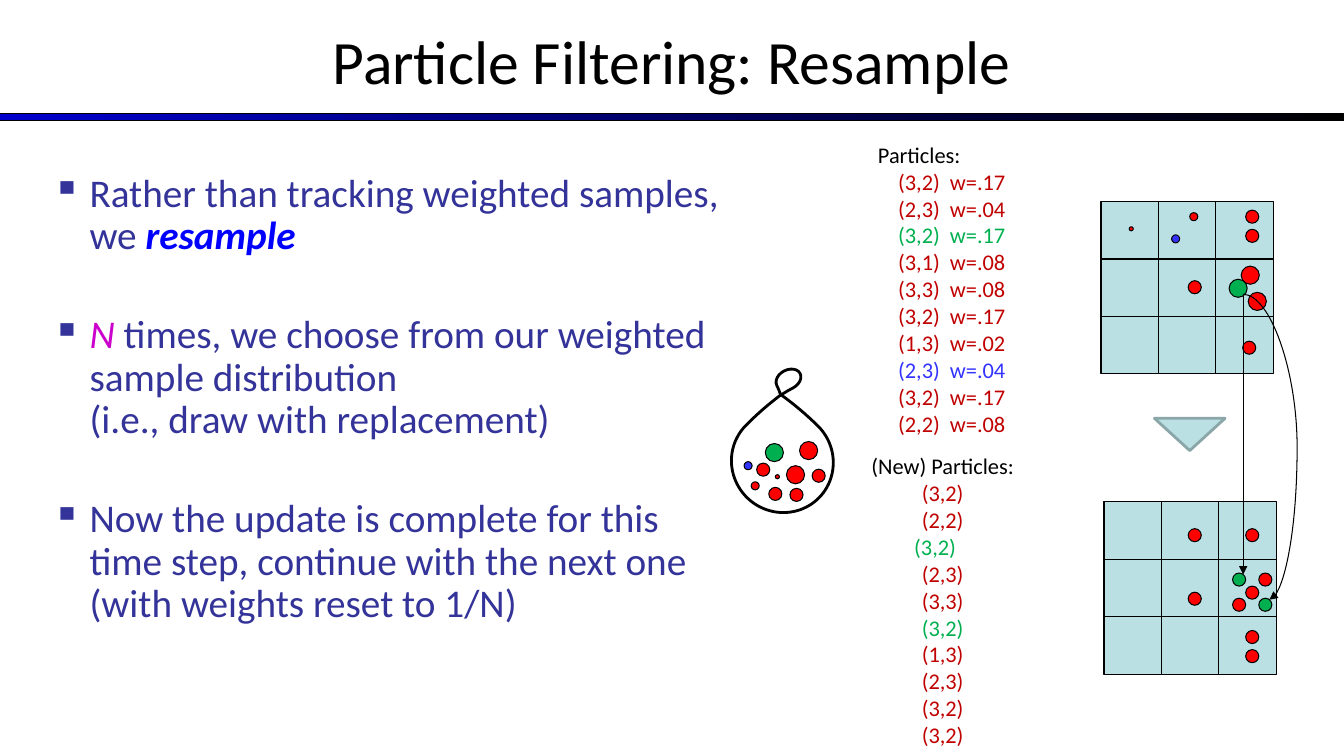
from lxml import etree
from pptx import Presentation
from pptx import util as u
from pptx.dml.color import RGBColor
from pptx.enum import shapes, text
from pptx.oxml import ns

BLACK, RED, GREEN, BLUE = "000000", "FF0000", "00B050", "3333FF"
DARK_RED, INDIGO, PALE = "C00000", "333399", "BBE0E3"
CELL = 0.57
LARGE, MEDIUM, SMALL, TINY = 0.18, 0.13, 0.08, 0.04

WEIGHTED_DOTS = [
    (12.28, 2.86, LARGE, GREEN), (12.47, 2.99, LARGE, RED), (12.42, 2.15, MEDIUM, RED),
    (11.85, 2.85, MEDIUM, RED), (12.39, 3.45, MEDIUM, RED), (12.42, 2.34, MEDIUM, RED),
    (11.66, 2.37, SMALL, BLUE), (11.84, 2.15, SMALL, RED), (11.22, 2.27, TINY, RED),
    (12.4, 2.73, LARGE, RED),
]
RESAMPLED_DOTS = [
    (12.29, 6, MEDIUM, RED), (12.55, 5.75, MEDIUM, RED), (12.42, 5.88, MEDIUM, RED),
    (11.85, 5.94, MEDIUM, RED), (12.42, 5.31, MEDIUM, RED), (12.29, 5.75, MEDIUM, GREEN),
    (12.42, 6.32, MEDIUM, RED), (12.55, 6, MEDIUM, GREEN), (12.42, 6.51, MEDIUM, RED),
    (11.85, 5.31, MEDIUM, RED),
]
BAG_DOTS = [
    (7.89, 4.71, LARGE, RED), (7.9, 4.91, MEDIUM, RED), (7.69, 4.9, MEDIUM, RED),
    (7.57, 4.66, MEDIUM, RED), (8.12, 4.72, MEDIUM, RED), (7.42, 4.62, SMALL, BLUE),
    (7.49, 4.82, SMALL, RED), (7.71, 4.73, TINY, RED), (7.68, 4.49, LARGE, GREEN),
    (8.02, 4.47, LARGE, RED),
]
WEIGHTED = [
    ("(3,2)  w=.17", DARK_RED), ("(2,3)  w=.04", DARK_RED), ("(3,2)  w=.17", GREEN),
    ("(3,1)  w=.08", DARK_RED), ("(3,3)  w=.08", DARK_RED), ("(3,2)  w=.17", DARK_RED),
    ("(1,3)  w=.02", DARK_RED), ("(2,3)  w=.04", BLUE), ("(3,2)  w=.17", DARK_RED),
    ("(2,2)  w=.08", DARK_RED),
]
RESAMPLED = [
    ("(3,2)", DARK_RED, 0), ("(2,2)", DARK_RED, 0), ("(3,2)", GREEN, 0.15),
    ("(2,3)", DARK_RED, 0), ("(3,3)", DARK_RED, 0), ("(3,2)", GREEN, 0),
    ("(1,3)", DARK_RED, 0), ("(2,3)", DARK_RED, 0), ("(3,2)", DARK_RED, 0),
    ("(3,2)", DARK_RED, 0),
]


def color(value):
    return RGBColor.from_string(value)


def add_span(para, words, size=16, fill=BLACK, bold=False, italic=False):
    span = para.add_run()
    span.text = words.replace("\v", " ")
    span.font.name = "Calibri"
    span.font.size = u.Pt(size)
    span.font.bold = bold
    span.font.italic = italic
    span.font.color.rgb = color(fill)
    return span


class Page:
    def __init__(self, page, line=BLACK, thin=0.75):
        self.page = page
        self.line = line
        self.thin = thin

    def shape(self, kind, left, top, width, height, fill=None, line=None, weight=None, turn=0):
        shape = self.page.shapes.add_shape(
            kind, u.Inches(left), u.Inches(top), u.Inches(width), u.Inches(height))
        shape.shadow.inherit = False
        shape.rotation = turn
        if fill:
            shape.fill.solid()
            shape.fill.fore_color.rgb = color(fill)
        else:
            shape.fill.background()
        shape.line.color.rgb = color(line or self.line)
        shape.line.width = u.Pt(weight or self.thin)
        return shape

    def rule(self):
        bar = self.shape(shapes.MSO_SHAPE.RECTANGLE, 0, 1.13, 13.33, 0.07)
        bar.fill.gradient()
        bar.fill.gradient_angle = 0
        for stop, value in zip(bar.fill.gradient_stops, ("0000CC", BLACK)):
            stop.color.rgb = color(value)

    def grid(self, left, top):
        for row in range(3):
            for column in range(3):
                self.shape(shapes.MSO_SHAPE.RECTANGLE, left + column * CELL,
                           top + row * CELL, CELL, CELL, PALE)

    def dots(self, dots):
        for x, y, size, fill in dots:
            self.shape(shapes.MSO_SHAPE.OVAL, x - size / 2, y - size / 2, size, size, fill)

    def drop(self, left, top, width, height, turn, point):
        drop = self.shape(shapes.MSO_SHAPE.TEAR, left, top, width, height, weight=2, turn=turn)
        drop.adjustments[0] = point

    def arrow(self, kind, start, end, bend=None):
        arrow = self.page.shapes.add_connector(kind, *map(u.Inches, (*start, *end)))
        arrow.line.color.rgb = color(self.line)
        arrow.line.width = u.Pt(self.thin)
        properties = arrow._element.spPr
        outline = properties.find(ns.qn("a:ln"))
        etree.SubElement(outline, ns.qn("a:tailEnd"), type="triangle")
        etree.SubElement(properties, ns.qn("a:effectLst"))
        if bend:
            guides = properties.find(ns.qn("a:prstGeom")).find(ns.qn("a:avLst"))
            etree.SubElement(guides, ns.qn("a:gd"), name="adj1", fmla=f"val {bend}")

    def box(self, left, top, width, height, anchor=text.MSO_ANCHOR.TOP):
        box = self.page.shapes.add_textbox(
            u.Inches(left), u.Inches(top), u.Inches(width), u.Inches(height))
        box.text_frame.word_wrap = True
        box.text_frame.vertical_anchor = anchor
        return box.text_frame

    def title(self, words):
        para = self.box(0, -0.03, 13.33, 1.25, text.MSO_ANCHOR.MIDDLE).paragraphs[0]
        para.alignment = text.PP_ALIGN.CENTER
        add_span(para, words, size=44)

    def bullets(self, items):
        frame = self.box(0.42, 1.67, 6.98, 5.12)
        for index, item in enumerate(items):
            para = frame.add_paragraph() if index else frame.paragraphs[0]
            para.line_spacing = 0.9
            para.space_before = u.Pt(40.7 if index else 0)
            layout = para._p.get_or_add_pPr()
            layout.set("marL", str(u.Inches(0.37)))
            layout.set("indent", str(u.Inches(-0.37)))
            tint = etree.SubElement(layout, ns.qn("a:buClr"))
            etree.SubElement(tint, ns.qn("a:srgbClr"), val=INDIGO)
            etree.SubElement(layout, ns.qn("a:buChar"), char="▪")
            for number, line in enumerate(item):
                if number:
                    para.add_line_break()
                for words, style in line:
                    add_span(para, words, **{"size": 28, "fill": INDIGO, **style})

    def particles(self, heading, rows, left, top, align, indent=0):
        frame = self.box(left, top, 1.8, 3.06)
        para = frame.paragraphs[0]
        para.alignment = align
        add_span(para, heading)
        for words, fill, *shift in rows:
            para = frame.add_paragraph()
            para.alignment = align
            layout = para._p.get_or_add_pPr()
            layout.set("marL", str(u.Inches(indent)))
            layout.set("marR", str(u.Inches(sum(shift))))
            add_span(para, words, fill=fill)


def main():
    deck = Presentation()
    deck.slide_width, deck.slide_height = u.Inches(13.33), u.Inches(7.5)
    page = Page(deck.slides.add_slide(deck.slide_layouts[6]))
    page.rule()
    page.grid(10.92, 2)
    page.dots(WEIGHTED_DOTS)
    page.title("Particle Filtering: Resample")
    page.bullets([
        [[("Rather than tracking weighted samples, we ", {}),
          ("resample", {"fill": "0000FF", "bold": True, "italic": True})]],
        [[("N", {"fill": "CC00CD", "italic": True}),
          (" times, we choose from our weighted sample distribution", {})],
         [("(i.e., draw with replacement)", {})]],
        [[("Now the update is complete for this time step, continue with the next one "
           "(with weights reset to 1/N)", {})]],
    ])
    page.shape(shapes.MSO_SHAPE.ISOSCELES_TRIANGLE, 11.45, 4.15, 0.7, 0.32,
               PALE, "8AA6A8", 2, 180)
    page.grid(10.95, 4.98)
    page.dots(RESAMPLED_DOTS)
    page.particles("Particles:", WEIGHTED, 8.61, 1.35, text.PP_ALIGN.LEFT, 0.2)
    page.particles("(New) Particles:", RESAMPLED, 8.45, 4.44, text.PP_ALIGN.CENTER)
    page.arrow(shapes.MSO_CONNECTOR.STRAIGHT, (12.33, 2.92), (12.33, 5.7))
    page.arrow(shapes.MSO_CONNECTOR.CURVE, (12.33, 2.92), (12.59, 5.95), 206100)
    page.drop(7.26, 4.07, 1, 1.02, 314.4, 0.93)
    page.drop(7.69, 3.67, 0.26, 0.19, 152.5, 1.08)
    page.dots(BAG_DOTS)
    deck.save("out.pptx")


if __name__ == "__main__":
    main()
